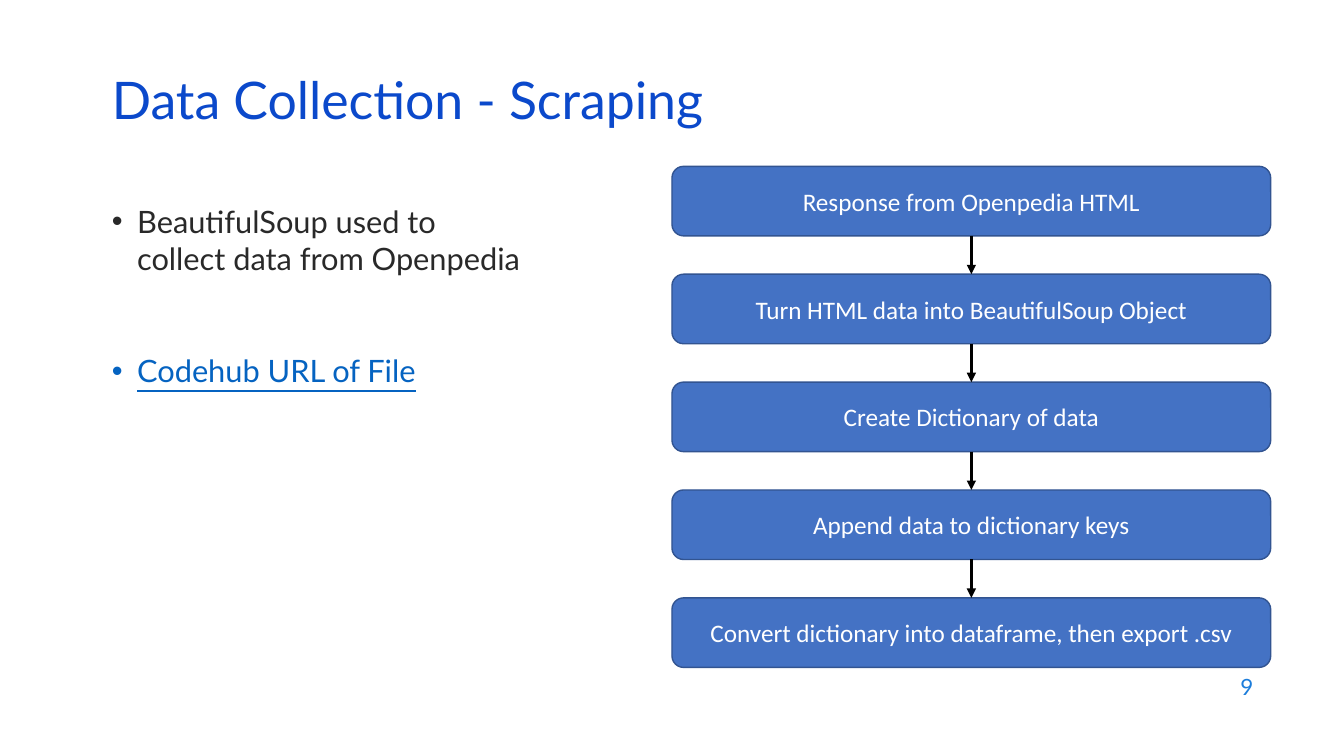
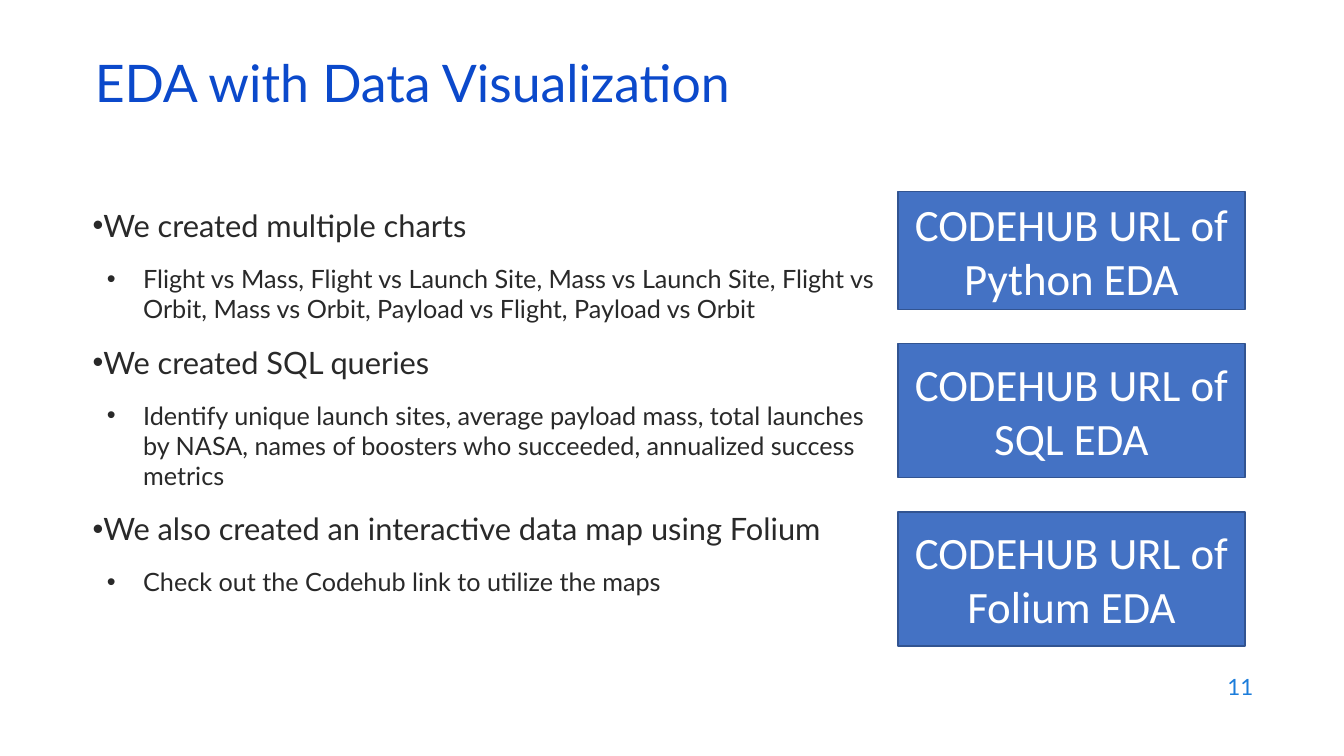
from itertools import pairwise

from lxml.etree import SubElement
from pptx import Presentation
from pptx.dml.color import RGBColor
from pptx.enum.shapes import MSO_CONNECTOR as Link, MSO_SHAPE as Form
from pptx.enum.text import MSO_ANCHOR as Anchor, MSO_AUTO_SIZE as Fit, PP_ALIGN as Align
from pptx.oxml.ns import qn
from pptx.util import Inches, Pt

WIDE, HIGH = Inches(13.33), Inches(7.5)
TITLE, INK, URL, PAGE = "0B49CB", "292929", "0563C1", "1C7DDB"
FILL, EDGE, WHITE, BLACK = "4472C4", "325491", "FFFFFF", "000000"
HEAD, TEXT = "Lato", "Calibri"


def tint(item, code):
    """Give a fill, line or font one solid colour."""
    if hasattr(item, "solid"):
        item.solid()
        item.fore_color.rgb = RGBColor.from_string(code)
    elif hasattr(item, "color"):
        item.color.rgb = RGBColor.from_string(code)


def area(left, top, wide, high):
    """Turn percentages of the slide into lengths."""
    return [int(part * side / 100)
            for part, side in zip((left, top, wide, high), (WIDE, HIGH) * 2)]


def place(item, box):
    """Move a placeholder to an area given in percent."""
    item.left, item.top, item.width, item.height = area(*box)


def style(para, size, code, face=HEAD, align=Align.LEFT):
    """Set the font and alignment of a paragraph."""
    para.alignment = align
    para.font.size, para.font.name = Pt(size), face
    tint(para.font, code)


def write(item, text, *look):
    """Put one vertically centred paragraph in a shape."""
    frame = item.text_frame
    frame.text, frame.word_wrap = text, True
    frame.auto_size, frame.vertical_anchor = Fit.NONE, Anchor.MIDDLE
    style(frame.paragraphs[0], *look)
    return frame.paragraphs[0]


def start(deck, title, left, top, page):
    """Add a slide with its title and page number."""
    slide = deck.slides.add_slide(deck.slide_layouts[1])
    place(slide.shapes.title, (left, top, 86.25, 8))
    write(slide.shapes.title, title, 37, TITLE).line_spacing = 0.7
    note = slide.shapes.add_textbox(*area(71.5, 87.87, 22.5, 5.87))
    write(note, page, 16, PAGE, HEAD, Align.RIGHT)
    return slide


def bullet(para, text, margin, hang):
    """Write a bulleted paragraph with a hanging indent."""
    para.text, para.line_spacing = text, 1.0
    props = para._p.get_or_add_pPr()
    props.set("marL", str(Inches(margin)))
    props.set("indent", str(-Inches(hang)))
    SubElement(props, qn("a:buChar")).set("char", "•")


def listing(slide, box, rows, indents, gap):
    """Fill the body with rows of level, text and colour."""
    body = slide.placeholders[1]
    place(body, box)
    frame = body.text_frame
    frame.word_wrap, frame.auto_size = True, Fit.NONE
    for index, (level, text, code) in enumerate(rows):
        para = frame.add_paragraph() if index else frame.paragraphs[0]
        para.level, para.space_before = level, Pt(gap if index else 0)
        bullet(para, text, *indents[level])
        style(para, (22, 18)[level], code)
        if code == URL:
            para.font.underline = True


def stack(slide, form, left, top, wide, gap, size, rows):
    """Stack boxes of given text and height with equal gaps."""
    boxes = []
    for text, high in rows:
        box = slide.shapes.add_shape(form, *area(left, top, wide, high))
        box.shadow.inherit = False
        tint(box.fill, FILL)
        tint(box.line, EDGE)
        box.line.width = Pt(1)
        write(box, text, size, WHITE, TEXT, Align.CENTER)
        boxes.append(box)
        top += high + gap
    return boxes


def arrow(slide, first, last):
    """Join the foot of one box to the top of the next."""
    line = slide.shapes.add_connector(Link.STRAIGHT, 0, 0, 0, 0)
    line.begin_connect(first, 2)
    line.end_connect(last, 0)
    tint(line.line, BLACK)
    line.line.width = Pt(2.25)
    SubElement(line.line._get_or_add_ln(), qn("a:tailEnd")).set("type", "triangle")
    SubElement(line._element.spPr, qn("a:effectLst"))


def scrape(deck):
    """Build the slide on scraping."""
    slide = start(deck, "Data Collection - Scraping", 7.58, 10.13, "9")
    rows = [(0, "BeautifulSoup used to collect data from Openpedia", INK),
            (0, "Codehub URL of File", URL)]
    listing(slide, (7.58, 26.13, 32.25, 55.6), rows, [(0.25, 0.25)], 54)
    steps = ["Response from Openpedia HTML",
             "Turn HTML data into BeautifulSoup Object",
             "Create Dictionary of data",
             "Append data to dictionary keys",
             "Convert dictionary into dataframe, then export .csv"]
    boxes = stack(slide, Form.ROUNDED_RECTANGLE, 50, 22, 44.55, 5.07, 18,
                  [(step, 9.2) for step in steps])
    for first, last in pairwise(boxes):
        arrow(slide, first, last)


def explore(deck):
    """Build the slide on data exploration."""
    slide = start(deck, "EDA with Data Visualization", 6.3, 7.87, "11")
    topics = [
        ("We created multiple charts",
         "Flight vs Mass, Flight vs Launch Site, Mass vs Launch Site, "
         "Flight vs Orbit, Mass vs Orbit, Payload vs Flight, Payload vs Orbit"),
        ("We created SQL queries",
         "Identify unique launch sites, average payload mass, total launches "
         "by NASA, names of boosters who succeeded, annualized success metrics"),
        ("We also created an interactive data map using Folium",
         "Check out the Codehub link to utilize the maps")]
    rows = [(level, text, INK) for pair in topics for level, text in enumerate(pair)]
    listing(slide, (6.15, 26.67, 59.93, 63.47), rows, [(0, 0), (0.5, 0.36)], 14)
    kinds = [("Python", 15.6), ("SQL", 17.73), ("Folium", 17.73)]
    stack(slide, Form.RECTANGLE, 66.83, 25.33, 25.8, 4.53, 32,
          [(f"CODEHUB URL of {kind} EDA", high) for kind, high in kinds])


def main():
    """Build and save the deck."""
    deck = Presentation()
    deck.slide_width, deck.slide_height = WIDE, HIGH
    scrape(deck)
    explore(deck)
    deck.save("out.pptx")


if __name__ == "__main__":
    main()
